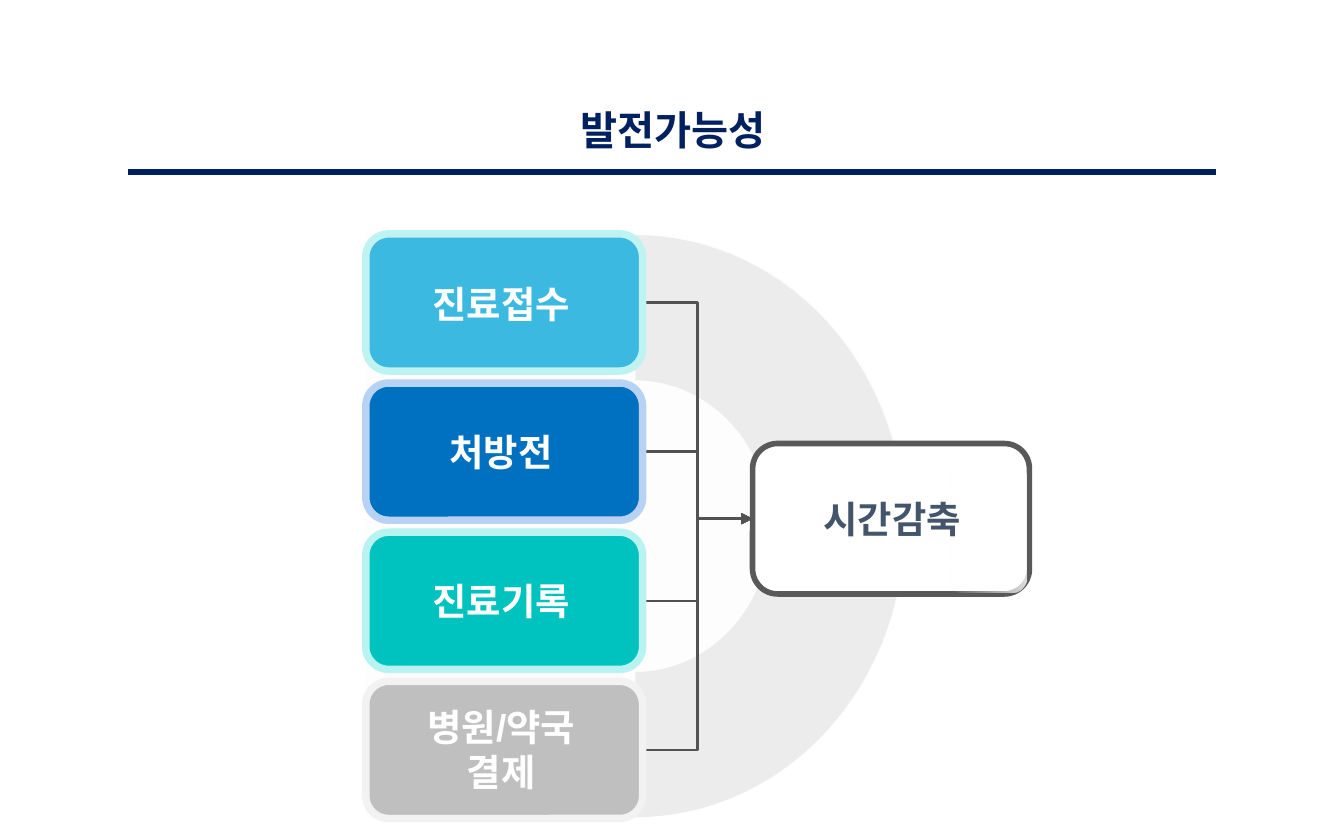
from math import cos, pi, sin

from lxml import etree
from pptx import Presentation
from pptx.dml.color import RGBColor
from pptx.enum.dml import MSO_THEME_COLOR
from pptx.enum.shapes import MSO_CONNECTOR, MSO_SHAPE
from pptx.enum.text import MSO_ANCHOR, MSO_AUTO_SIZE, PP_ALIGN
from pptx.oxml.ns import qn
from pptx.util import Pt

STRAIGHT, ELBOW = MSO_CONNECTOR.STRAIGHT, MSO_CONNECTOR.ELBOW
ROUNDED, DELAY = MSO_SHAPE.ROUNDED_RECTANGLE, MSO_SHAPE.FLOWCHART_DELAY
LEFT, CENTER = PP_ALIGN.LEFT, PP_ALIGN.CENTER
RIGHT_SITE, LEFT_SITE = 3, 1

THEME = {
    "navy": "002060", "white": "FFFFFF", "slate": "44546A",
    "connector": "404040", "result_line": "595959",
    "ring": "C0C0C0", "delay": "F2F2F2",
    "title_font": "Noto Sans CJK KR", "label_font": "Arial",
    "title_size": 21.6, "label_size": 20,
}

# label, fill, border, label top, label height
STEPS = [
    ("진료접수", "3CB9E0", "BFF3F1", 146.9, 31.7),
    ("처방전", "0070C0", "B7D2F3", 226.1, 31.7),
    ("진료기록", "00C2BF", "B8F2F1", 306, 31.7),
    ("병원/약국\n결제", "BFBFBF", "F2F2F2", 373.7, 55.4),
]
CARD_LEFT, CARD_TOP, CARD_W, CARD_H, CARD_PITCH = 196, 125.3, 148.3, 73.5, 79.9
RESULT_LEFT, RESULT_TOP, RESULT_W, RESULT_H = 403.2, 237.6, 148.3, 80.6


def paint(shape, fill, opacity=100, line=None, width=0):
    shape.shadow.inherit = False
    shape.fill.solid()
    shape.fill.fore_color.rgb = RGBColor.from_string(fill)
    if opacity < 100:
        color = shape.fill._xPr.find(".//" + qn("a:srgbClr"))
        etree.SubElement(color, qn("a:alpha"), val=str(opacity * 1000))
    if line:
        shape.line.color.rgb = RGBColor.from_string(line)
        shape.line.width = Pt(width)
    else:
        shape.line.fill.background()


def write(shape, text, font, size, color, align):
    frame = shape.text_frame
    frame.text = text
    frame.word_wrap = True
    frame.auto_size = MSO_AUTO_SIZE.NONE
    frame.vertical_anchor = MSO_ANCHOR.MIDDLE
    for paragraph in frame.paragraphs:
        paragraph.alignment = align
        for run in paragraph.runs:
            run.font.name, run.font.size, run.font.bold = font, Pt(size), True
            run.font.color.rgb = RGBColor.from_string(color)
            etree.SubElement(run.font._element, qn("a:ea"), typeface=font)


prs = Presentation()
prs.slide_width, prs.slide_height = Pt(720), Pt(450)
slide = prs.slides.add_slide(prs.slide_layouts[5])
shapes = slide.shapes

# Title and rule
title = shapes.title
title.left, title.top, title.width, title.height = Pt(303.8), Pt(52.6), Pt(120.2), Pt(33.1)
write(title, "발전가능성", THEME["title_font"], THEME["title_size"], THEME["navy"], LEFT)
rule = shapes.add_connector(STRAIGHT, Pt(68.4), Pt(92.2), Pt(651.6), Pt(92.2))
rule.line.color.rgb = RGBColor.from_string(THEME["navy"])
rule.line.width = Pt(3)
etree.SubElement(rule._element.spPr, qn("a:effectLst"))

# Half ring: outer arc downwards, inner arc back up
angles = [-pi / 2 + pi * i / 60 for i in range(61)]
arcs = [(144.2, 155.9, angles), (72.2, 78.1, angles[::-1])]
points = [(Pt(340.4 + rx * cos(a)), Pt(281.9 + ry * sin(a)))
          for rx, ry, sweep in arcs for a in sweep]
builder = shapes.build_freeform(*points[0])
builder.add_line_segments(points[1:], close=True)
paint(builder.convert_to_shape(), THEME["ring"], opacity=29)

# Connectors from each step to the result
flows = []
for i in range(len(STEPS)):
    flow = shapes.add_connector(
        ELBOW, Pt(CARD_LEFT + CARD_W), Pt(CARD_TOP + i * CARD_PITCH + CARD_H / 2),
        Pt(RESULT_LEFT), Pt(RESULT_TOP + RESULT_H / 2))
    flow.line.color.rgb = RGBColor.from_string(THEME["connector"])
    flow.line.width = Pt(1.25)
    etree.SubElement(flow.line._get_or_add_ln(), qn("a:tailEnd"), type="triangle")
    etree.SubElement(flow._element.spPr, qn("a:effectLst"))
    flows.append(flow)

# Pale backdrop
backdrop = shapes.add_shape(DELAY, Pt(196), Pt(125.3), Pt(289.4), Pt(312.5))
paint(backdrop, THEME["delay"], opacity=10)

# Step cards
cards = []
for i, (_, fill, border, _, _) in enumerate(STEPS):
    card = shapes.add_shape(ROUNDED, Pt(CARD_LEFT), Pt(CARD_TOP + i * CARD_PITCH),
                            Pt(CARD_W), Pt(CARD_H))
    paint(card, fill, line=border, width=4)
    cards.append(card)

# Result card with a glossy right edge
result = shapes.add_shape(ROUNDED, Pt(RESULT_LEFT), Pt(RESULT_TOP), Pt(RESULT_W), Pt(RESULT_H))
paint(result, THEME["white"], line=THEME["result_line"], width=3)
gloss = shapes.add_shape(ROUNDED, Pt(507.6), Pt(248.4), Pt(42.5), Pt(69.1))
gloss.adjustments[0] = 0.2
gloss.rotation = 180
paint(gloss, THEME["white"])
gloss.fill.gradient()
gloss.fill.gradient_angle = 0
for stop, opacity in zip(gloss.fill.gradient_stops, (80, 0)):
    stop.color.theme_color = MSO_THEME_COLOR.BACKGROUND_1
    stop.color.rgb = RGBColor.from_string(THEME["white"])
for color, opacity in zip(gloss._element.spPr.iter(qn("a:srgbClr")), (80, 0)):
    etree.SubElement(color, qn("a:alpha"), val=str(opacity * 1000))

for flow, card in zip(flows, cards):
    flow.begin_connect(card, RIGHT_SITE)
    flow.end_connect(result, LEFT_SITE)

# Labels
labels = [(text, 201.6, top, height, THEME["white"]) for text, _, _, top, height in STEPS]
labels.append(("시간감축", 411.1, 262.1, 31.7, THEME["slate"]))
for text, left, top, height, color in labels:
    label = shapes.add_textbox(Pt(left), Pt(top), Pt(133.9), Pt(height))
    write(label, text, THEME["label_font"], THEME["label_size"], color, CENTER)

prs.save("out.pptx")
